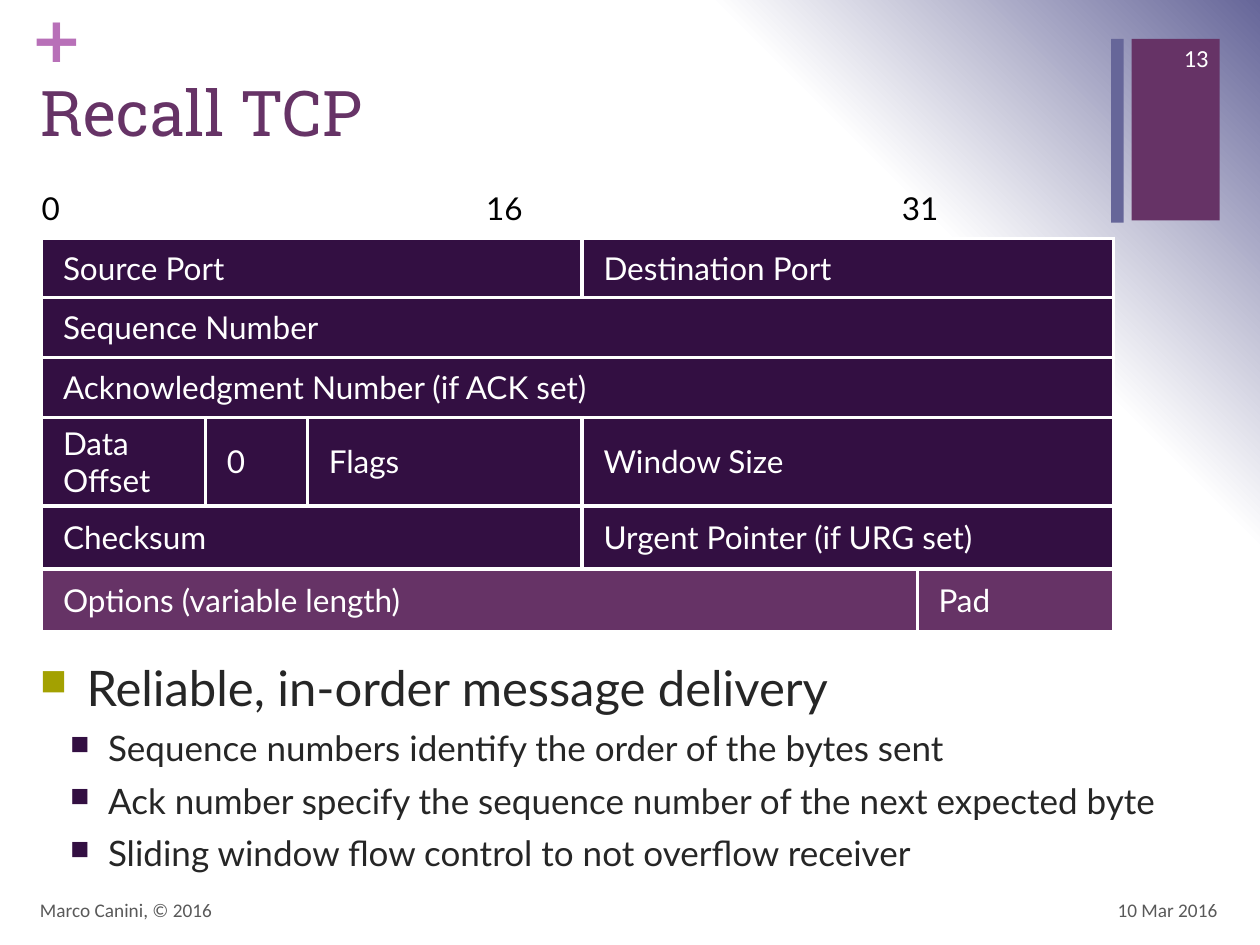
"""Build the slide that recalls the TCP header and its delivery guarantees."""
from pptx import Presentation
from pptx.dml.color import RGBColor
from pptx.enum.shapes import MSO_SHAPE
from pptx.enum.text import MSO_ANCHOR, MSO_AUTO_SIZE, PP_ALIGN
from pptx.oxml import parse_xml
from pptx.oxml.ns import nsdecls, qn
from pptx.util import Pt

RECTANGLE = MSO_SHAPE.RECTANGLE
LEFT, RIGHT = PP_ALIGN.LEFT, PP_ALIGN.RIGHT
TOP, MIDDLE = MSO_ANCHOR.TOP, MSO_ANCHOR.MIDDLE
NO_AUTOFIT = MSO_AUTO_SIZE.NONE

WHITE = RGBColor(0xFF, 0xFF, 0xFF)
BLACK = RGBColor(0x00, 0x00, 0x00)
INK = RGBColor(0x26, 0x26, 0x26)
GREY = RGBColor(0x59, 0x59, 0x59)
PLUM = RGBColor(0x66, 0x33, 0x66)
AUBERGINE = RGBColor(0x33, 0x0F, 0x42)
SLATE = RGBColor(0x66, 0x66, 0x99)
ORCHID = RGBColor(0xB8, 0x70, 0xB8)
OLIVE = RGBColor(0xA3, 0xA1, 0x01)

COLUMN_WIDTHS = [93.6, 58.3, 157, 191.5, 112.3]
ROW_HEIGHTS = [34, 34, 34, 34.5, 50.4, 36, 36]
BIT_TABS = [254, 491.5]
HEADER_FIELDS = [
    [("Source Port", 3), ("Destination Port", 2)],
    [("Sequence Number", 5)],
    [("Acknowledgment Number (if ACK set)", 5)],
    [("Data Offset", 1), ("0", 1), ("Flags", 1), ("Window Size", 2)],
    [("Checksum", 3), ("Urgent Pointer (if URG set)", 2)],
    [("Options (variable length)", 4), ("Pad", 1)],
]
DELIVERY_POINTS = [
    "Sequence numbers identify the order of the bytes sent",
    "Ack number specify the sequence number of the next expected byte",
    "Sliding window flow control to not overflow receiver",
]


def paint_background(page):
    """Fade the page from white at bottom left to slate at top right."""
    page.background.fill.gradient()
    stops = "".join(
        f'<a:gs pos="{position}"><a:srgbClr val="{color}"/></a:gs>'
        for position, color in [(0, WHITE), (75000, WHITE), (100000, SLATE)]
    )
    gradient = parse_xml(
        f'<a:gradFill {nsdecls("a")} rotWithShape="1"><a:gsLst>{stops}</a:gsLst>'
        '<a:path path="circle"><a:fillToRect t="100000" r="100000"/></a:path></a:gradFill>'
    )
    current = next(page.element.iter(qn("a:gradFill")))
    current.getparent().replace(current, gradient)


def add_span(para, text, size, font, color, bold=False):
    """Add one formatted run to a paragraph."""
    span = para.add_run()
    span.text = text
    span.font.size = Pt(size)
    span.font.name = font
    span.font.color.rgb = color
    span.font.bold = bold


def add_bar(page, left, top, width, height, color):
    """Add a plain filled rectangle."""
    bar = page.shapes.add_shape(RECTANGLE, Pt(left), Pt(top), Pt(width), Pt(height))
    bar.shadow.inherit = False
    bar.fill.solid()
    bar.fill.fore_color.rgb = color
    bar.line.fill.background()


def add_box(page, left, top, width, height, anchor=MIDDLE):
    """Add an empty wrapping text box and return its text frame."""
    box = page.shapes.add_textbox(Pt(left), Pt(top), Pt(width), Pt(height))
    frame = box.text_frame
    frame.word_wrap = True
    frame.vertical_anchor = anchor
    return frame


def add_label(page, bounds, text, size, color, align=LEFT):
    """Add a single-line label centred vertically in its box."""
    para = add_box(page, *bounds).paragraphs[0]
    para.alignment = align
    add_span(para, text, size, "Calibri", color)


def add_plus(page):
    """Add the decorative plus sign above the title."""
    frame = add_box(page, 17.3, 0, 21, 44, TOP)
    frame.margin_left = frame.margin_right = frame.margin_top = frame.margin_bottom = 0
    frame.word_wrap = False
    add_span(frame.paragraphs[0], "+", 36, "DejaVu Sans", ORCHID, bold=True)


def set_title(page, text):
    """Place and format the title placeholder."""
    title = page.shapes.title
    title.left, title.top, title.width, title.height = Pt(15.8), Pt(38.2), Pt(618.5), Pt(87.8)
    frame = title.text_frame
    frame.auto_size = NO_AUTOFIT
    frame.vertical_anchor = TOP
    para = frame.paragraphs[0]
    para.alignment = LEFT
    add_span(para, text, 36, "Roboto Slab", PLUM)


def set_borders(cell, white_sides):
    """Draw white borders on the given sides and none on the others."""
    properties = cell._tc.get_or_add_tcPr()
    for side in "LRTB":
        paint = f'<a:solidFill><a:srgbClr val="{WHITE}"/></a:solidFill>'
        if side not in white_sides:
            paint = "<a:noFill/>"
        properties.append(parse_xml(
            f'<a:ln{side} {nsdecls("a")} w="{Pt(2.25)}">{paint}</a:ln{side}>'))


def fill_cell(cell, text, color, margin):
    """Write text in a cell with equal side margins."""
    cell.margin_left = cell.margin_right = Pt(margin)
    cell.vertical_anchor = MIDDLE
    add_span(cell.text_frame.paragraphs[0], text, 18, "Lato", color)


def add_header_table(page):
    """Add the TCP header layout under its bit scale."""
    table = page.shapes.add_table(
        len(ROW_HEIGHTS), len(COLUMN_WIDTHS), Pt(23.8), Pt(102.2),
        Pt(sum(COLUMN_WIDTHS)), Pt(sum(ROW_HEIGHTS))).table
    table.first_row = table.horz_banding = False
    for column, width in zip(table.columns, COLUMN_WIDTHS):
        column.width = Pt(width)
    last = len(ROW_HEIGHTS) - 1
    for index, (row, height) in enumerate(zip(table.rows, ROW_HEIGHTS)):
        row.height = Pt(height)
        for cell in row.cells:
            set_borders(cell, "LRTB" if index else "B")
            if index:
                cell.fill.solid()
                cell.fill.fore_color.rgb = PLUM if index == last else AUBERGINE
            else:
                cell.fill.background()

    scale = table.cell(0, 0)
    scale.merge(table.cell(0, len(COLUMN_WIDTHS) - 1))
    stops = "".join(f'<a:tab pos="{Pt(stop)}" algn="l"/>' for stop in BIT_TABS)
    scale.text_frame.paragraphs[0]._p.get_or_add_pPr().append(
        parse_xml(f'<a:tabLst {nsdecls("a")}>{stops}</a:tabLst>'))
    fill_cell(scale, "0\t16\t31", BLACK, 0)

    for index, fields in enumerate(HEADER_FIELDS, start=1):
        start = 0
        for text, width in fields:
            cell = table.cell(index, start)
            if width > 1:
                cell.merge(table.cell(index, start + width - 1))
            fill_cell(cell, text, WHITE, 12.2)
            start += width


def add_bullet(para, text, size, color, indent, hanging):
    """Turn a paragraph into a square-bulleted item."""
    properties = para._p.get_or_add_pPr()
    properties.set("marL", str(Pt(indent)))
    properties.set("indent", str(Pt(-hanging)))
    for element in (f'buClr {nsdecls("a")}><a:srgbClr val="{color}"/></a:buClr>',
                    f'buSzPct {nsdecls("a")} val="75000"/>',
                    f'buChar {nsdecls("a")} char="■"/>'):
        properties.append(parse_xml(f"<a:{element}"))
    add_span(para, text, size, "Lato", INK)


def add_points(page):
    """Add the delivery statement and its supporting points."""
    frame = add_box(page, 15.8, 372.2, 687, 134, TOP)
    add_bullet(frame.paragraphs[0], "Reliable, in-order message delivery", 28, OLIVE, 26.6, 26.6)
    for text in DELIVERY_POINTS:
        para = frame.add_paragraph()
        para.level = 1
        add_bullet(para, text, 20, AUBERGINE, 38.9, 21.6)
        para.space_before = Pt(6)


def main():
    """Build and save the deck."""
    deck = Presentation()
    deck.slide_width, deck.slide_height = Pt(720), Pt(540)
    page = deck.slides.add_slide(deck.slide_layouts[5])
    paint_background(page)
    add_bar(page, 646.6, 22.3, 50.4, 103.7, PLUM)
    add_plus(page)
    add_bar(page, 635, 22.3, 7.2, 105, SLATE)
    set_title(page, "Recall TCP")
    add_points(page)
    add_header_table(page)
    add_label(page, (535, 505.4, 167.8, 28.8), "10 Mar 2016", 11, GREY, RIGHT)
    add_label(page, (15.8, 505.4, 482.4, 28.8), "Marco Canini, © 2016", 11, GREY)
    add_label(page, (653.8, 18.7, 43.9, 28.8), "13", 14, WHITE, RIGHT)
    deck.save("out.pptx")


if __name__ == "__main__":
    main()
